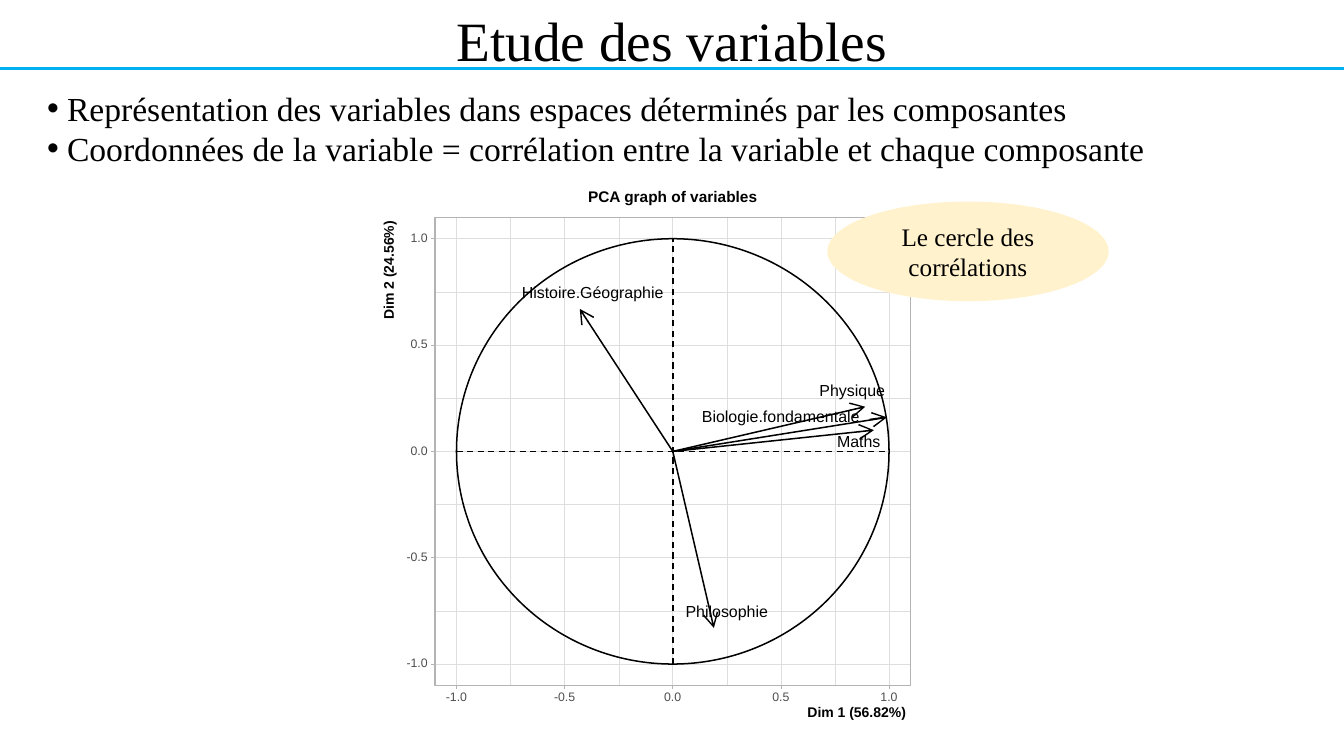
import lxml.etree
import pptx
import pptx.util
import pptx.dml.color
import pptx.enum.dml
import pptx.enum.shapes
import pptx.enum.text
import pptx.oxml.ns

Cm = pptx.util.Cm
Pt = pptx.util.Pt
RGBColor = pptx.dml.color.RGBColor
Align = pptx.enum.text.PP_ALIGN
Anchor = pptx.enum.text.MSO_ANCHOR
Preset = pptx.enum.shapes.MSO_SHAPE
DASH = pptx.enum.dml.MSO_LINE.DASH

BLACK = RGBColor(0x00, 0x00, 0x00)
WHITE = RGBColor(0xFF, 0xFF, 0xFF)
RULE_BLUE = RGBColor(0x00, 0xB0, 0xF0)
GRID_GREY = RGBColor(0xDE, 0xDE, 0xDE)
FRAME_GREY = RGBColor(0xB3, 0xB3, 0xB3)
TICK_GREY = RGBColor(0x4D, 0x4D, 0x4D)
CALLOUT_CREAM = RGBColor(0xFF, 0xF2, 0xCC)
SERIF = "Times New Roman"
SANS = "Arial"

AXIS_LIMIT = 1.1
TICKS = (-1.0, -0.5, 0.0, 0.5, 1.0)
MINOR_TICKS = (-0.75, -0.25, 0.25, 0.75)
TICK_LENGTH = 0.1
VARIABLES = (
    ("Maths", (0.93, 0.1), (0.86, 0.04)),
    ("Histoire.Géographie", (-0.43, 0.67), (-0.37, 0.74)),
    ("Philosophie", (0.19, -0.83), (0.25, -0.76)),
    ("Physique", (0.89, 0.21), (0.83, 0.28)),
    ("Biologie.fondamentale", (0.99, 0.16), (0.5, 0.16)),
)


def add_element(parent, tag, **attributes):
    lxml.etree.SubElement(parent, pptx.oxml.ns.qn(tag), attributes)


def write_text(frame, text, size, font=SERIF, color=BLACK, bold=False,
               align=Align.CENTER, bullet=False, line_spacing=None):
    for index, line in enumerate(text.split("\n")):
        paragraph = frame.add_paragraph() if index else frame.paragraphs[0]
        paragraph.alignment = align
        paragraph.line_spacing = line_spacing
        if bullet:
            properties = paragraph._p.get_or_add_pPr()
            properties.set("marL", str(Cm(0.5)))
            properties.set("indent", str(Cm(-0.5)))
            add_element(properties, "a:buFont", typeface=SANS)
            add_element(properties, "a:buChar", char="•")
        run = paragraph.add_run()
        run.text = line
        run.font.name = font
        run.font.size = Pt(size)
        run.font.bold = bold
        run.font.color.rgb = color


def add_label(slide, text, center_x, center_y, size, width=5, rotation=0, **text_format):
    height = 0.4
    label = slide.shapes.add_textbox(
        Cm(center_x - width / 2), Cm(center_y - height / 2), Cm(width), Cm(height))
    label.rotation = rotation
    frame = label.text_frame
    frame.margin_left = frame.margin_right = frame.margin_top = frame.margin_bottom = 0
    frame.word_wrap = True
    frame.vertical_anchor = Anchor.MIDDLE
    write_text(frame, text, size, font=SANS, line_spacing=Pt(size), **text_format)


def add_line(slide, start, end, color, width, dash=None, arrow=False):
    connector = slide.shapes.add_connector(
        pptx.enum.shapes.MSO_CONNECTOR.STRAIGHT,
        Cm(start[0]), Cm(start[1]), Cm(end[0]), Cm(end[1]))
    connector.line.color.rgb = color
    connector.line.width = Pt(width)
    if dash:
        connector.line.dash_style = dash
    properties = connector._element.spPr
    if arrow:
        outline = properties.find(pptx.oxml.ns.qn("a:ln"))
        add_element(outline, "a:tailEnd", type="arrow", w="lg", len="lg")
    add_element(properties, "a:effectLst")


def add_outline(slide, preset, box, fill=None, line=None):
    shape = slide.shapes.add_shape(preset, *(Cm(length) for length in box))
    shape.shadow.inherit = False
    if fill:
        shape.fill.solid()
        shape.fill.fore_color.rgb = fill
    else:
        shape.fill.background()
    if line:
        shape.line.color.rgb = line
        shape.line.width = Pt(1.07)
    else:
        shape.line.fill.background()
    return shape


def add_heading(slide, left, top, width, height):
    title = slide.shapes.add_textbox(Cm(left), Cm(top), Cm(width), Cm(height))
    title.text_frame.word_wrap = True
    title.text_frame.vertical_anchor = Anchor.MIDDLE
    write_text(title.text_frame, "Etude des variables", 39.6)


def add_bullets(slide, left, top, width, height):
    bullets = slide.shapes.add_textbox(Cm(left), Cm(top), Cm(width), Cm(height))
    bullets.text_frame.word_wrap = True
    write_text(
        bullets.text_frame,
        "Représentation des variables dans espaces déterminés par les composantes\n"
        "Coordonnées de la variable = corrélation entre la variable et chaque composante",
        24, align=Align.LEFT, bullet=True)


def add_correlation_circle(slide, left, top, width, height):
    right, bottom = left + width, top + height
    unit_x, unit_y = width / 2 / AXIS_LIMIT, height / 2 / AXIS_LIMIT

    def place(x, y):
        return left + width / 2 + x * unit_x, top + height / 2 - y * unit_y

    for ticks, line_width in ((MINOR_TICKS, 0.27), (TICKS, 0.53)):
        for tick in ticks:
            x, y = place(tick, tick)
            add_line(slide, (left, y), (right, y), GRID_GREY, line_width)
            add_line(slide, (x, top), (x, bottom), GRID_GREY, line_width)

    add_line(slide, place(-1, 0), place(1, 0), BLACK, 1.07, dash=DASH)
    add_line(slide, place(0, -1), place(0, 1), BLACK, 1.07, dash=DASH)
    for name, tip, label_center in VARIABLES:
        add_line(slide, place(0, 0), place(*tip), BLACK, 1.07, arrow=True)
    add_outline(slide, Preset.OVAL, (*place(-1, 1), 2 * unit_x, 2 * unit_y), line=BLACK)
    add_line(slide, place(0.91, 0.15), place(0.98, 0.16), BLACK, 1.07)
    for name, tip, label_center in VARIABLES:
        add_label(slide, name, *place(*label_center), 11.4)

    add_outline(slide, Preset.RECTANGLE, (left, top, width, height), line=FRAME_GREY)
    for tick in TICKS:
        x, y = place(tick, tick)
        add_line(slide, (left - TICK_LENGTH, y), (left, y), FRAME_GREY, 0.53)
        add_line(slide, (x, bottom), (x, bottom + TICK_LENGTH), FRAME_GREY, 0.53)
        add_label(slide, f"{tick:.1f}", left - 0.68, y, 8.8, width=1,
                  color=TICK_GREY, align=Align.RIGHT)
        add_label(slide, f"{tick:.1f}", x, bottom + 0.31, 8.8, width=1, color=TICK_GREY)

    add_label(slide, "Dim 1 (56.82%)", right - 1.36, bottom + 0.7, 10, bold=True)
    add_label(slide, "Dim 2 (24.56%)", left - 1.14, top + 1.33, 10, rotation=270, bold=True)
    add_label(slide, "PCA graph of variables", left + width / 2, top - 0.5, 11,
              width=6, bold=True)


def add_callout(slide, left, top, width, height):
    callout = add_outline(slide, Preset.OVAL, (left, top, width, height), fill=CALLOUT_CREAM)
    callout.text_frame.word_wrap = True
    callout.text_frame.vertical_anchor = Anchor.MIDDLE
    write_text(callout.text_frame, "Le cercle des corrélations", 18)


def main():
    presentation = pptx.Presentation()
    presentation.slide_width = Cm(33.87)
    presentation.slide_height = Cm(19.05)
    slide = presentation.slides.add_slide(presentation.slide_layouts[6])
    slide.background.fill.solid()
    slide.background.fill.fore_color.rgb = WHITE
    add_heading(slide, 4.23, 0, 25.4, 2)
    add_bullets(slide, 0.94, 2.08, 32.6, 2.31)
    add_line(slide, (0, 1.73), (33.87, 1.73), RULE_BLUE, 2.25)
    add_correlation_circle(slide, 10.96, 5.48, 11.99, 11.79)
    add_callout(slide, 20.85, 5.08, 7.09, 2.51)
    presentation.save("out.pptx")


if __name__ == "__main__":
    main()
